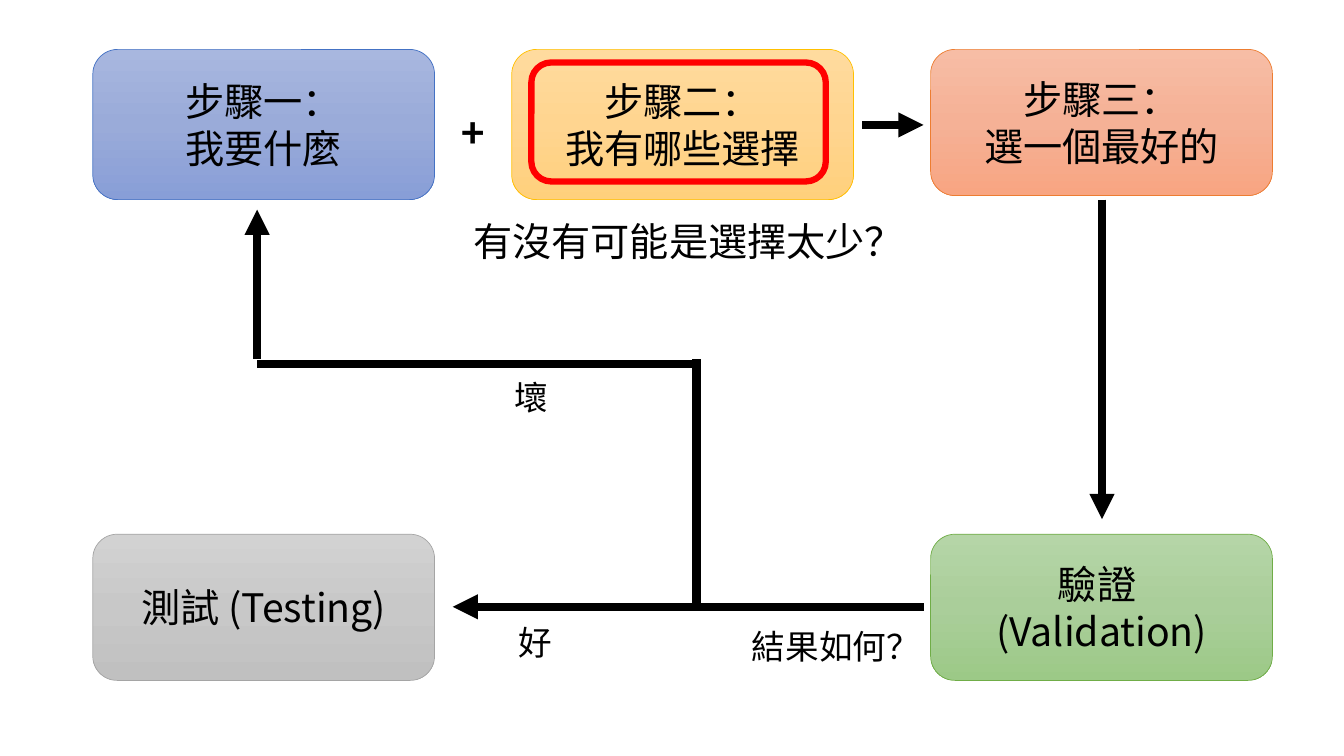
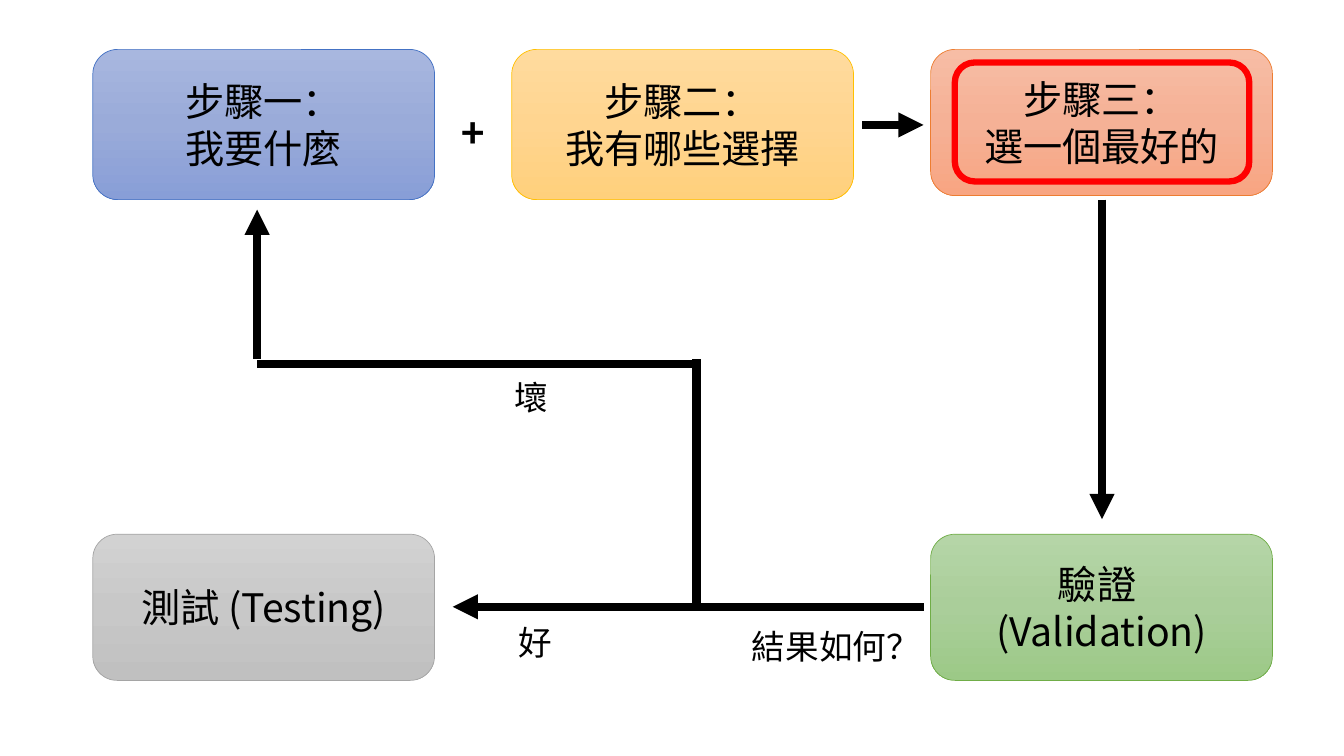
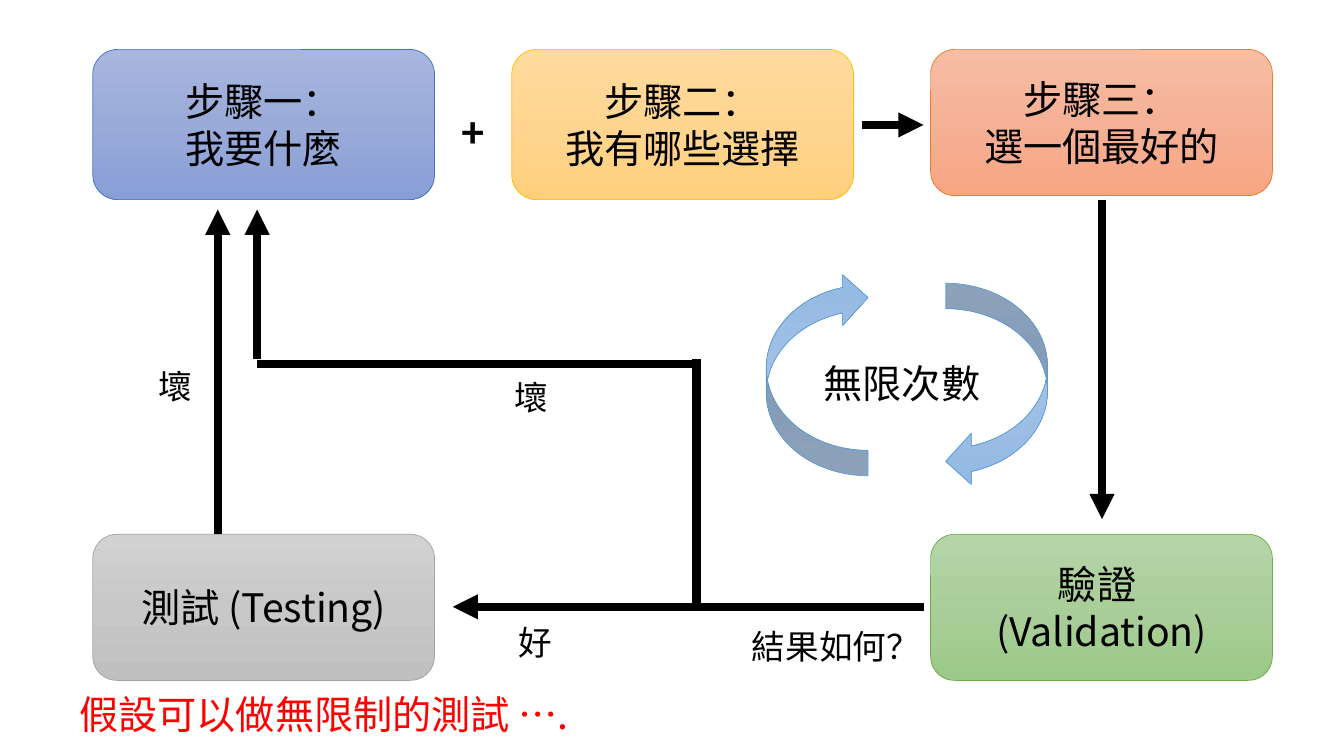
from copy import deepcopy

from lxml import etree
from pptx import Presentation
from pptx import util as u
from pptx.dml import color
from pptx.enum import shapes, text
from pptx.oxml import ns

CJK, LATIN = "Noto Sans CJK SC", "Calibri"
BLACK, RED = "000000", "FF0000"
BOX_WIDTH, TALL, SHORT = 3.39, 1.49, 1.45
LEFT, RIGHT, TOP, BOTTOM = 0.92, 9.23, 0.49, 5.3
MIDDLE = (LEFT + RIGHT) / 2
RESULT_Y, FORK_X, RETURN_X = 6.02, 6.91, 2.55
LABEL_WIDTH, LABEL_HEIGHT, NOTE_HEIGHT = 1.64, 0.5, 0.57
HIGHLIGHT_WIDTH, HIGHLIGHT_HEIGHT = 2.92, 1.18

CENTER, START = text.PP_ALIGN.CENTER, text.PP_ALIGN.LEFT
ROUNDED = shapes.MSO_SHAPE.ROUNDED_RECTANGLE
CURVED = shapes.MSO_SHAPE.CURVED_LEFT_ARROW

BOXES = [
    (LEFT, TOP, TALL, ["步驟一：", "我要什麼"], ["A8B7DF", "9AABD9", "889ED7"], "4472C4"),
    (MIDDLE, TOP, TALL, ["步驟二：", "我有哪些選擇"], ["FFDB9E", "FFD590", "FFD07C"], "FFC000"),
    (RIGHT, TOP, SHORT, ["步驟三：", "選一個最好的"], ["F7BDA5", "F5B196", "F8A582"], "ED7D31"),
    (LEFT, BOTTOM, SHORT, ["測試 (Testing)"], ["D2D2D2", "C8C8C8", "C0C0C0"], "A5A5A5"),
    (RIGHT, BOTTOM, SHORT, ["驗證 ", "(Validation)"], ["B5D5A7", "AACE9A", "9CC987"], "70AD47"),
]
LINES = [
    ((9.16, RESULT_Y), (4.49, RESULT_Y), True),
    ((10.93, 1.98), (10.93, 5.15), True),
    ((8.55, 1.24), (9.16, 1.24), True),
    ((FORK_X, RESULT_Y), (FORK_X, 3.56), False),
    ((FORK_X, 3.61), (RETURN_X, 3.61), False),
    ((RETURN_X, 3.56), (RETURN_X, 2.08), True),
]
LABELS = [(7.36, 6.16, "結果如何？"), (5.04, 6.12, "好"), (5, 3.69, "壞")]
CYCLE_COLORS, CYCLE_EDGE = ["B1CBE9", "A3C1E5", "93B9E4"], "5B9BD5"
CYCLE_ARROWS = [(7.6, 2.7, True), (9.38, 2.81, False)]

SLIDES = [
    {"highlight": 5.27,
     "notes": [(4.47, 2.11, 4.72, "有沒有可能是選擇太少？", BLACK)]},
    {"highlight": 9.47},
    {"cycle": CYCLE_ARROWS,
     "notes": [(7.97, 3.52, 1.95, "無限次數", BLACK),
               (0.51, 6.8, 5.41, "假設可以做無限制的測試 ….", RED)],
     "lines": [((2.16, BOTTOM), (2.16, 2.08), True)],
     "labels": [(1.47, 3.58, "壞")]},
]


def rgb(value):
    return color.RGBColor.from_string(value)


def inches(*values):
    return [u.Inches(value) for value in values]


def write(frame, lines, size=28, ink=BLACK, align=CENTER, face=CJK, bold=False):
    for index, line in enumerate(lines):
        para = frame.paragraphs[0] if index == 0 else frame.add_paragraph()
        para.alignment = align
        span = para.add_run()
        span.text = line
        for name, value in {"size": u.Pt(size), "name": face, "bold": bold}.items():
            setattr(span.font, name, value)
        span.font.color.rgb = rgb(ink)
        etree.SubElement(span.font._element, ns.qn("a:ea"), typeface=face)


def add_text(page, at, line, **style):
    frame = page.shapes.add_textbox(*inches(*at)).text_frame
    frame.word_wrap = True
    frame.auto_size = text.MSO_AUTO_SIZE.SHAPE_TO_FIT_TEXT
    write(frame, [line], **style)


def add_outline(page, kind, at, edge, weight):
    shape = page.shapes.add_shape(kind, *inches(*at))
    shape.shadow.inherit = False
    shape.fill.background()
    shape.line.color.rgb = rgb(edge)
    shape.line.width = u.Pt(weight)
    return shape


def add_gradient(page, kind, at, colors, edge):
    shape = add_outline(page, kind, at, edge, 0.5)
    shape.fill.gradient()
    shape.fill.gradient_angle = 270
    first = shape._element.spPr.find(".//" + ns.qn("a:gs"))
    first.addnext(deepcopy(first))
    for stop, position, value in zip(shape.fill.gradient_stops, (0, 0.5, 1), colors):
        stop.position = position
        stop.color.rgb = rgb(value)
    return shape


def add_line(page, start, end, arrow):
    line = page.shapes.add_connector(
        shapes.MSO_CONNECTOR.STRAIGHT, *inches(*start, *end))
    line.line.color.rgb = rgb(BLACK)
    line.line.width = u.Pt(6)
    if arrow:
        etree.SubElement(line.line._get_or_add_ln(), ns.qn("a:tailEnd"), type="triangle")
    etree.SubElement(line._element.spPr, ns.qn("a:effectLst"))


def add_flow(page, extra):
    for left, top, height, lines, colors, edge in BOXES:
        box = add_gradient(page, ROUNDED, (left, top, BOX_WIDTH, height), colors, edge)
        box.text_frame.vertical_anchor = text.MSO_ANCHOR.MIDDLE
        write(box.text_frame, lines)
    add_text(page, (4.23, 0.97, 0.92, 0.64), "+", size=32, face=LATIN, bold=True)
    for start, end, arrow in LINES + extra.get("lines", []):
        add_line(page, start, end, arrow)
    for left, top, line in LABELS + extra.get("labels", []):
        add_text(page, (left, top, LABEL_WIDTH, LABEL_HEIGHT), line, size=24, align=START)
    if "highlight" in extra:
        at = (extra["highlight"], 0.62, HIGHLIGHT_WIDTH, HIGHLIGHT_HEIGHT)
        add_outline(page, ROUNDED, at, RED, 4.5)
    for left, top, flipped in extra.get("cycle", []):
        arrow = add_gradient(page, CURVED, (left, top, 1.01, 2.02), CYCLE_COLORS, CYCLE_EDGE)
        if flipped:
            frame = arrow._element.spPr.find(ns.qn("a:xfrm"))
            for side in ("flipH", "flipV"):
                frame.set(side, "1")
    for left, top, width, line, ink in extra.get("notes", []):
        add_text(page, (left, top, width, NOTE_HEIGHT), line, ink=ink)


def main():
    deck = Presentation()
    deck.slide_width, deck.slide_height = inches(13.33, 7.5)
    for extra in SLIDES:
        add_flow(deck.slides.add_slide(deck.slide_layouts[6]), extra)
    deck.save("out.pptx")


if __name__ == "__main__":
    main()
